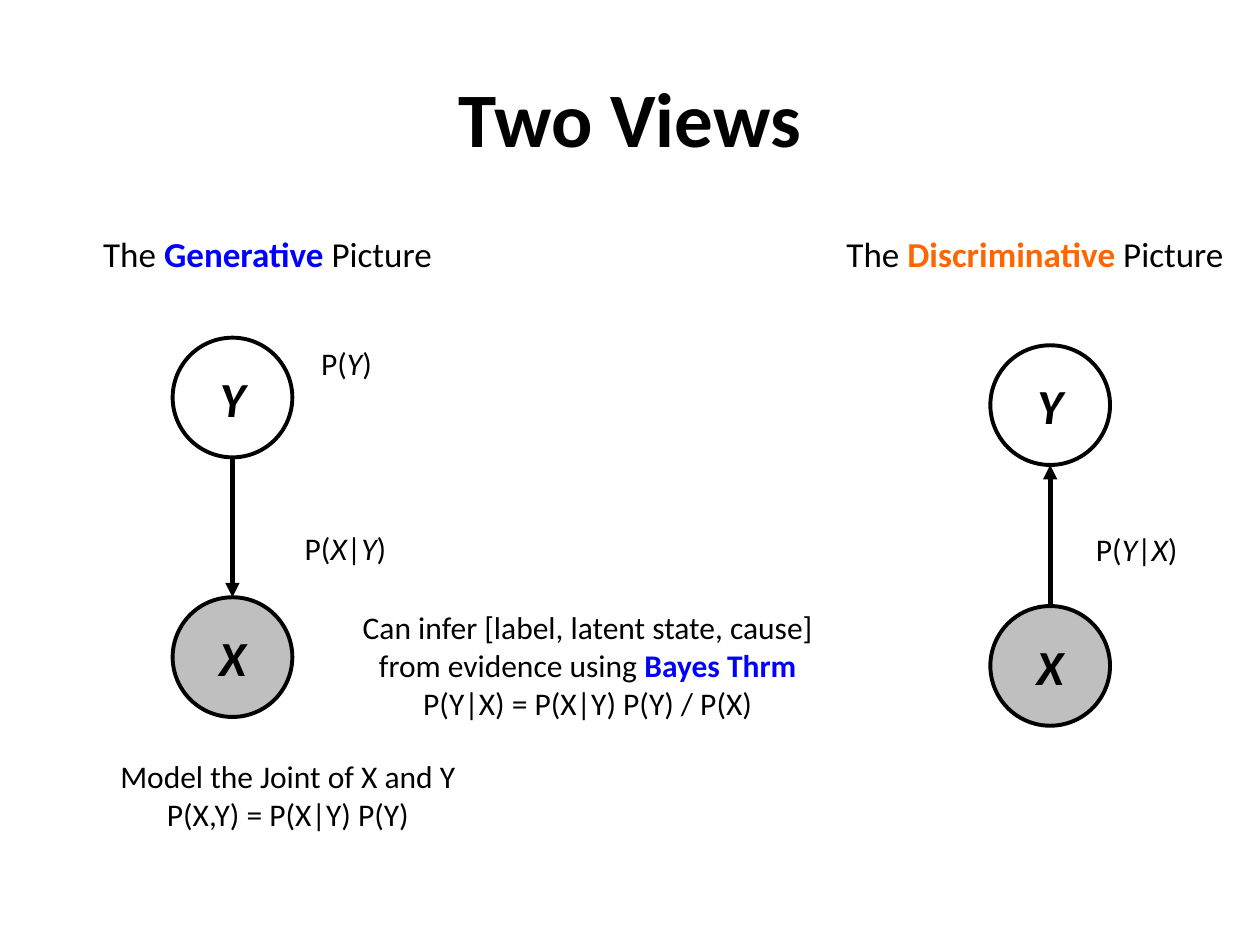
from lxml.etree import SubElement
from pptx import Presentation
from pptx.dml.color import RGBColor
from pptx.enum.shapes import MSO_CONNECTOR, MSO_SHAPE
from pptx.enum.text import MSO_ANCHOR, MSO_AUTO_SIZE, PP_ALIGN
from pptx.oxml.ns import qn
from pptx.util import Inches, Pt

BLACK = RGBColor(0x00, 0x00, 0x00)
GRAY = RGBColor(0xBF, 0xBF, 0xBF)
BLUE = RGBColor(0x00, 0x00, 0xFF)
ORANGE = RGBColor(0xFF, 0x66, 0x00)
FONT = "Calibri"
ITALIC = "italic"
LEFT, CENTER = PP_ALIGN.LEFT, PP_ALIGN.CENTER

TITLE = "Two Views"
NODE_SIZE = 0.95
# left of the nodes, top of Y, top of X, whether the arrow runs from Y to X
GRAPHS = [
    (1.37, 2.68, 4.74, True),
    (7.86, 2.74, 4.81, False),
]
# box, size, alignment, wrap, paragraphs of (text, style);
# a style is None, ITALIC or the colour of a bold highlight
LABELS = [
    ((0.72, 1.8, 2.85, 0.44), 20, LEFT, False,
     [[("The ", None), ("Generative ", BLUE), ("Picture", None)]]),
    ((6.62, 1.8, 3.23, 0.44), 20, LEFT, False,
     [[("The ", None), ("Discriminative ", ORANGE), ("Picture", None)]]),
    ((2.45, 2.68, 0.61, 0.4), 18, LEFT, False,
     [[("P(", None), ("Y", ITALIC), (")", None)]]),
    ((2.32, 4.15, 0.86, 0.4), 18, LEFT, False,
     [[("P(", None), ("X", ITALIC), ("|", None), ("Y", ITALIC), (")", None)]]),
    ((8.6, 4.16, 0.86, 0.4), 18, LEFT, False,
     [[("P(", None), ("Y", ITALIC), ("|", None), ("X", ITALIC), (")", None)]]),
    ((0.84, 5.96, 2.89, 0.71), 18, CENTER, False,
     [[("Model the Joint of X and Y", None)],
      [("P(X,Y) = P(X|Y) P(Y)", None)]]),
    ((2.71, 4.78, 3.91, 1.01), 18, CENTER, True,
     [[("Can infer [label, latent state, cause] from evidence using ", None),
       ("Bayes Thrm", BLUE)],
      [("P(Y|X) = P(X|Y) P(Y) / P(X)", None)]]),
]


def set_font(font, size, bold=None, italic=None):
    font.name = FONT
    font.size = Pt(size)
    font.bold = bold
    font.italic = italic
    font.color.rgb = BLACK


def add_title(slide):
    title = slide.shapes.title
    title.left, title.top = Inches(0.5), Inches(0.3)
    title.width, title.height = Inches(9), Inches(1.25)
    tf = title.text_frame
    tf.text = TITLE
    tf.vertical_anchor = MSO_ANCHOR.MIDDLE
    tf.paragraphs[0].alignment = CENTER
    set_font(tf.paragraphs[0].font, 44, bold=True)


def add_node(slide, name, left, top, observed):
    sp = slide.shapes.add_shape(MSO_SHAPE.OVAL, Inches(left), Inches(top),
                                Inches(NODE_SIZE), Inches(NODE_SIZE))
    sp.shadow.inherit = False
    if observed:
        sp.fill.solid()
        sp.fill.fore_color.rgb = GRAY
    else:
        sp.fill.background()
    sp.line.color.rgb = BLACK
    sp.line.width = Pt(2.25)
    tf = sp.text_frame
    tf.text = name
    tf.vertical_anchor = MSO_ANCHOR.MIDDLE
    p = tf.paragraphs[0]
    p.alignment = CENTER
    set_font(p.font, 28, bold=True, italic=True)


def add_arrow(slide, x, start, end):
    line = slide.shapes.add_connector(MSO_CONNECTOR.STRAIGHT, Inches(x), Inches(start),
                                      Inches(x), Inches(end))
    line.line.color.rgb = BLACK
    line.line.width = Pt(2.75)
    SubElement(line.line._get_or_add_ln(), qn("a:tailEnd"), type="triangle")
    SubElement(line._element.spPr, qn("a:effectLst"))


def add_graph(slide, left, y_top, x_top, generative):
    add_node(slide, "Y", left, y_top, observed=False)
    add_node(slide, "X", left, x_top, observed=True)
    ends = (y_top + NODE_SIZE, x_top)
    start, end = ends if generative else reversed(ends)
    add_arrow(slide, left + NODE_SIZE / 2, start, end)


def add_label(slide, box, size, alignment, wrap, paragraphs):
    tf = slide.shapes.add_textbox(*map(Inches, box)).text_frame
    tf.word_wrap = wrap
    tf.auto_size = MSO_AUTO_SIZE.SHAPE_TO_FIT_TEXT
    for i, runs in enumerate(paragraphs):
        p = tf.add_paragraph() if i else tf.paragraphs[0]
        p.alignment = alignment
        set_font(p.font, size)
        for text, style in runs:
            r = p.add_run()
            r.text = text
            if style == ITALIC:
                r.font.italic = True
            elif style is not None:
                r.font.bold = True
                r.font.color.rgb = style


def main():
    prs = Presentation()
    prs.slide_width, prs.slide_height = Inches(10), Inches(7.5)
    slide = prs.slides.add_slide(prs.slide_layouts[5])
    add_title(slide)
    for graph in GRAPHS:
        add_graph(slide, *graph)
    for label in LABELS:
        add_label(slide, *label)
    prs.save("out.pptx")


if __name__ == "__main__":
    main()
